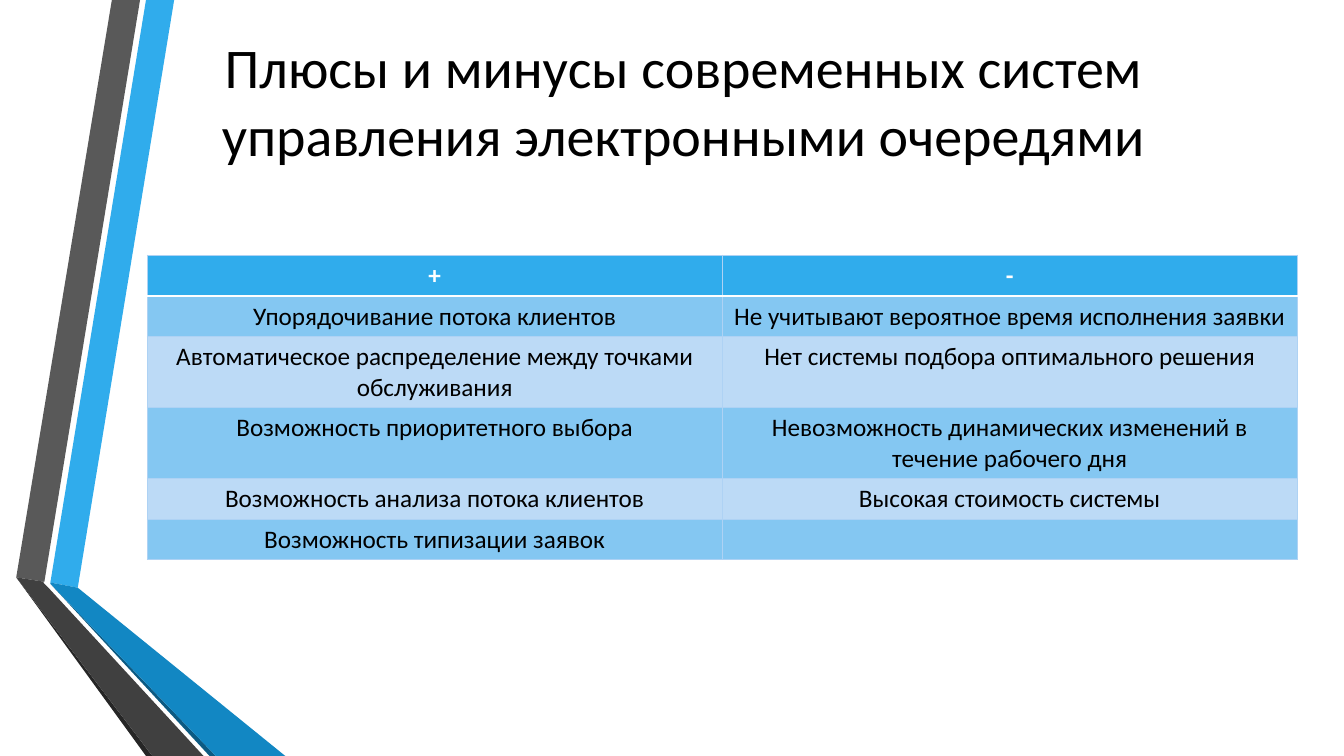
from lxml import etree
from pptx import Presentation
from pptx.dml.color import RGBColor
from pptx.enum.text import MSO_ANCHOR, PP_ALIGN
from pptx.oxml.ns import qn
from pptx.util import Cm, Pt

CENTER = PP_ALIGN.CENTER
MIDDLE = MSO_ANCHOR.MIDDLE
FONT = "Calibri"
BLACK, WHITE, BLUE = "000000", "FFFFFF", "30ACEC"
BAND_FILLS = ("BCDAF6", "84C7F2")
GRID_COLOR = "AED2F4"
SLIDE_WIDTH, SLIDE_HEIGHT = 33.87, 19.05

TITLE = "Плюсы и минусы современных систем управления электронными очередями"
ROWS = [
    ("+", "-"),
    ("Упорядочивание потока клиентов", "Не учитывают вероятное время исполнения заявки"),
    ("Автоматическое распределение между точками обслуживания",
     "Нет системы подбора оптимального решения"),
    ("Возможность приоритетного выбора",
     "Невозможность динамических изменений в течение рабочего дня"),
    ("Возможность анализа потока клиентов", "Высокая стоимость системы"),
    ("Возможность типизации заявок", ""),
]
RIBBONS = [
    (BLUE, [(0.86, 14.68), (1.55, 14.81), (3.98, 0), (3.27, 0)]),
    ("595959", [(3.12, 0), (2.41, 0), (0, 14.55), (0.71, 14.66)]),
    ("262626", [(0, 14.55), (3.27, 19.05), (3.43, 19.05)]),
    ("0C5A82", [(0.86, 14.71), (4.87, 19.05), (5.03, 19.05)]),
    ("1287C3", [(0.86, 14.68), (0.86, 14.71), (5.03, 19.05), (6.78, 19.05), (1.55, 14.81)]),
    ("404040", [(4.72, 19.05), (0.81, 14.81), (0.68, 14.68), (0.71, 14.66),
                (0, 14.55), (3.43, 19.05)]),
]


def color(value):
    """Turn a hex string into a colour."""
    return RGBColor.from_string(value)


def style_paragraph(paragraph, size, text_color, bold=False):
    """Centre a paragraph and set its font."""
    paragraph.alignment = CENTER
    font = paragraph.font
    font.name, font.size, font.bold = FONT, Pt(size), bold
    font.color.rgb = color(text_color)


def set_border(cell, side, line_color, width):
    """Draw one border of a cell, keeping the lines ahead of the fill."""
    properties = cell._tc.get_or_add_tcPr()
    line = etree.Element(qn(f"a:ln{side}"), w=str(Pt(width)))
    fill = etree.SubElement(line, qn("a:solidFill"))
    etree.SubElement(fill, qn("a:srgbClr"), val=line_color)
    properties.insert("LRTB".index(side), line)


def add_ribbons(slide, left, top):
    """Draw the folded ribbons from the given corner."""
    for fill_color, points in RIBBONS:
        corners = [(Cm(left + x), Cm(top + y)) for x, y in points]
        builder = slide.shapes.build_freeform(*corners[0])
        builder.add_line_segments(corners[1:], close=True)
        shape = builder.convert_to_shape()
        shape.shadow.inherit = False
        shape.fill.solid()
        shape.fill.fore_color.rgb = color(fill_color)
        shape.line.fill.background()


def add_title(slide, left, top, width, height):
    """Place the centred slide title in its box."""
    box = slide.shapes.add_textbox(Cm(left), Cm(top), Cm(width), Cm(height))
    frame = box.text_frame
    frame.word_wrap = True
    frame.vertical_anchor = MIDDLE
    frame.text = TITLE
    style_paragraph(frame.paragraphs[0], 40, BLACK)


def add_comparison(slide, left, top, width, row_height):
    """Place the table of advantages and drawbacks."""
    table = slide.shapes.add_table(
        len(ROWS), len(ROWS[0]), Cm(left), Cm(top), Cm(width), Cm(row_height * len(ROWS))
    ).table
    for row_index, texts in enumerate(ROWS):
        header = row_index == 0
        for column_index, text in enumerate(texts):
            cell = table.cell(row_index, column_index)
            cell.text = text
            style_paragraph(cell.text_frame.paragraphs[0], 18, WHITE if header else BLACK, header)
            cell.fill.solid()
            cell.fill.fore_color.rgb = color(BLUE if header else BAND_FILLS[row_index % 2])
            for side in "LRTB":
                divider = (row_index, side) in ((0, "B"), (1, "T"))
                set_border(cell, side, *((WHITE, 1.25) if divider else (GRID_COLOR, 0.75)))


def main():
    """Build and save the slide."""
    presentation = Presentation()
    presentation.slide_width = Cm(SLIDE_WIDTH)
    presentation.slide_height = Cm(SLIDE_HEIGHT)
    slide = presentation.slides.add_slide(presentation.slide_layouts[6])
    add_ribbons(slide, 0.41, 0)
    add_title(slide, 3.76, 0.25, 26.92, 4.55)
    add_comparison(slide, 3.71, 6.43, 28.98, 1.03)
    presentation.save("out.pptx")


if __name__ == "__main__":
    main()
